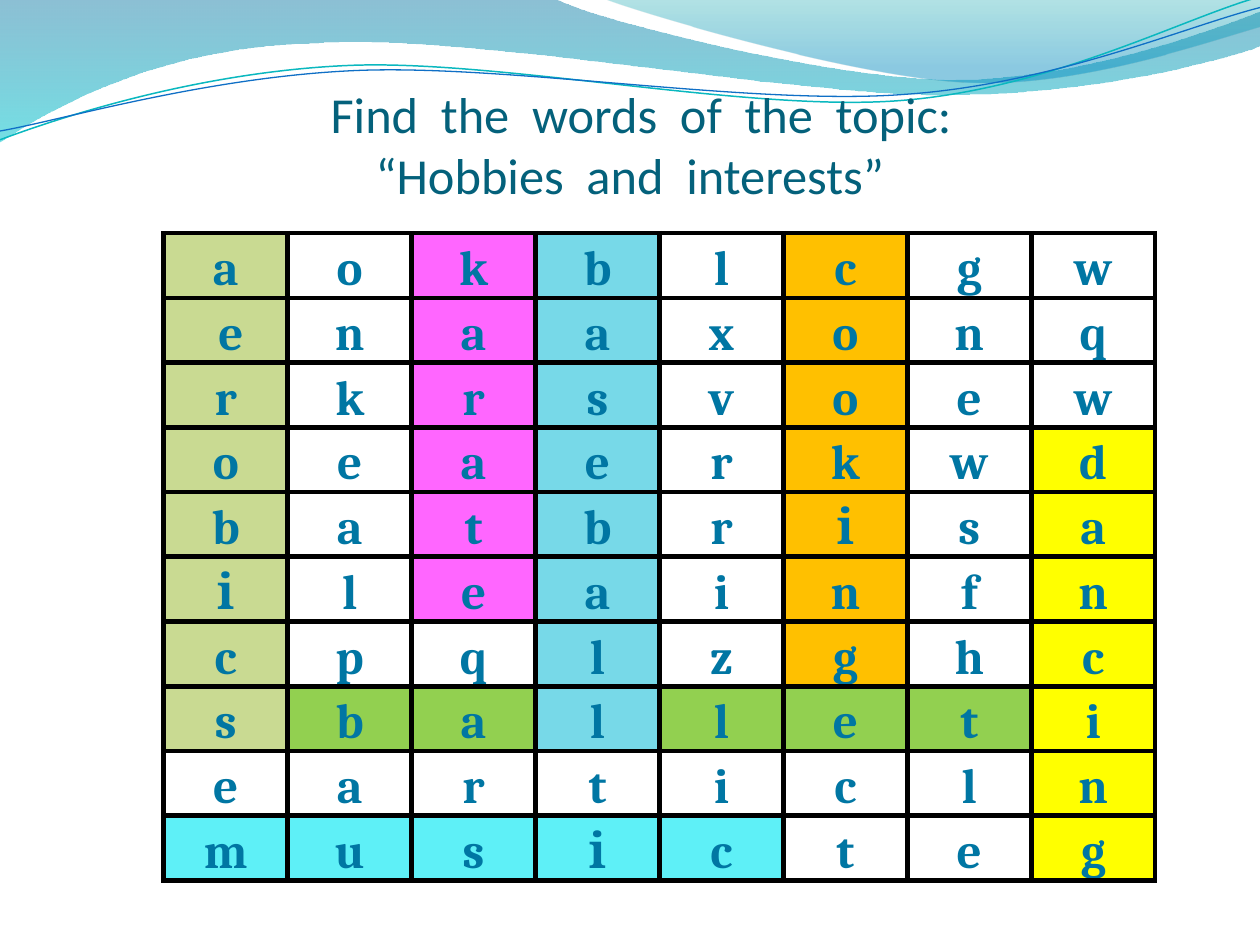
from pptx import Presentation
from pptx.dml.color import RGBColor
from pptx.enum import text
from pptx.oxml import ns, parse_xml
from pptx.util import Inches, Pt

TITLE = "Fіnd  the  words  of  the  topic:\v“Hobbіes  and  іnterests”"
TITLE_INDENT = 0.18
LETTERS = [
    "aokblcgw",
    "enaaxonq",
    "rkrsvoew",
    "oeaerkwd",
    "batbrіsa",
    "іleainfn",
    "cpqlzghc",
    "sballeti",
    "earticln",
    "musіcteg",
]
NUDGED = (1, 0)
DOWN, ACROSS = (1, 0), (0, 1)
FOUND_WORDS = [
    ("ballet", 7, 1, ACROSS, "92D050"),
    ("music", 9, 0, ACROSS, "5EF0F7"),
    ("aerobics", 0, 0, DOWN, "C9DA92"),
    ("karate", 0, 2, DOWN, "FF66FF"),
    ("baseball", 0, 3, DOWN, "77D9E8"),
    ("cooking", 0, 5, DOWN, "FFC000"),
    ("dancing", 3, 7, DOWN, "FFFF00"),
]
BANDS = [
    ([(0, 0), [(4.4, -0.01)],
      [(4.76, 0.17), (6.64, 0.63), (7.58, 0.63)],
      [(8.53, 0.63), (9.58, 0.26), (10, 0.09)], [(10.01, 0.36)],
      [(9.83, 0.44), (8.7, 0.76), (7.46, 0.75)],
      [(6.22, 0.75), (3.82, 0.28), (2.57, 0.34)],
      [(1.29, 0.36), (0.46, 0.83), (-0.01, 1.13)]],
     [(0, "0074A1", 45), (1, "00C6CF", 55)]),
    ([(4.79, -0.01),
      [(5.09, 0.11), (6.82, 0.62), (7.69, 0.65)],
      [(8.56, 0.69), (9.61, 0.32), (10, 0.21)], [(10, 0)]],
     [(0, "00A1A9", 30), (0.8, "008BBF", 45)]),
]
WAVES = [
    ([(0, 1.11),
      [(0.48, 0.93), (1.58, 0.57), (2.77, 0.52)],
      [(3.95, 0.47), (5.93, 0.89), (7.13, 0.8)],
      [(8.33, 0.71), (9.38, 0.15), (9.98, -0.02)]], "0AB8BF", 0.85),
    ([(0, 1.04),
      [(0.47, 0.96), (1.64, 0.61), (2.83, 0.56)],
      [(4.03, 0.51), (5.97, 0.84), (7.17, 0.75)],
      [(8.36, 0.67), (9.41, 0.21), (10, 0.06)]], "0F6FC6", 0.75),
]


def rgb(value):
    return RGBColor.from_string(value)


def draw_outline(slide, outline, close):
    start, *segments = outline
    ends = [(Inches(segment[-1][0]), Inches(segment[-1][1])) for segment in segments]
    builder = slide.shapes.build_freeform(Inches(start[0]), Inches(start[1]))
    builder.add_line_segments(ends, close=close)
    shape = builder.convert_to_shape()
    shape.shadow.inherit = False
    edges = list(shape._element.iter(ns.qn("a:lnTo")))
    for edge, segment in zip(edges, segments):
        if len(segment) == 3:
            points = "".join(
                f'<a:pt x="{Inches(x) - shape.left}" y="{Inches(y) - shape.top}"/>'
                for x, y in segment)
            curve = parse_xml(f'<a:cubicBezTo {ns.nsdecls("a")}>{points}</a:cubicBezTo>')
            edge.getparent().replace(edge, curve)
    return shape


def draw_band(slide, outline, stops):
    band = draw_outline(slide, outline, True)
    band.line.fill.background()
    band.fill.gradient()
    band.fill.gradient_angle = 270
    for stop, (position, color, _) in zip(band.fill.gradient_stops, stops):
        stop.position = position
        stop.color.rgb = rgb(color)
    tints = list(band._element.spPr.iter(ns.qn("a:srgbClr")))
    for tint, (_, _, opacity) in zip(tints, stops):
        tint.append(parse_xml(f'<a:alpha {ns.nsdecls("a")} val="{opacity * 1000}"/>'))


def draw_wave(slide, outline, color, width):
    wave = draw_outline(slide, outline, False)
    wave.fill.background()
    wave.line.color.rgb = rgb(color)
    wave.line.width = Pt(width)


def style_paragraph(paragraph, font_name, size, color, bold):
    paragraph.alignment = text.PP_ALIGN.CENTER
    font = paragraph.font
    font.name, font.size, font.bold = font_name, Pt(size), bold
    font.color.rgb = rgb(color)


def draw_title(slide):
    frame = slide.shapes.add_textbox(Inches(0.5), Inches(0.77), Inches(9), Inches(0.85)).text_frame
    frame.word_wrap = True
    frame.vertical_anchor = text.MSO_ANCHOR.BOTTOM
    frame.margin_left = frame.margin_right = frame.margin_bottom = 0
    frame.margin_top = Inches(0.05)
    paragraph = frame.paragraphs[0]
    paragraph.text = TITLE
    properties = paragraph._p.get_or_add_pPr()
    properties.set("marL", "0")
    properties.set("indent", str(Inches(TITLE_INDENT)))
    style_paragraph(paragraph, "Calibri", 28.8, "04617B", False)


def add_borders(cell):
    properties = cell._tc.get_or_add_tcPr()
    for index, side in enumerate(("lnL", "lnR", "lnT", "lnB")):
        properties.insert(index, parse_xml(
            f'<a:{side} {ns.nsdecls("a")} w="{Pt(3)}"><a:solidFill>'
            f'<a:srgbClr val="000000"/></a:solidFill></a:{side}>'))


def draw_puzzle(slide):
    rows, columns = len(LETTERS), len(LETTERS[0])
    highlights = {}
    for word, row, column, (down, across), color in FOUND_WORDS:
        for i in range(len(word)):
            highlights[row + i * down, column + i * across] = color
    puzzle = slide.shapes.add_table(rows, columns, Inches(1.3), Inches(1.85),
                                    Inches(7.87), Inches(5.14)).table
    puzzle.first_row = puzzle.horz_banding = False
    for r, letters in enumerate(LETTERS):
        for c, letter in enumerate(letters):
            cell = puzzle.cell(r, c)
            cell.margin_left = Inches(0.15 if (r, c) == NUDGED else 0.07)
            cell.margin_right = Inches(0.07)
            cell.margin_top = cell.margin_bottom = 0
            cell.vertical_anchor = text.MSO_ANCHOR.BOTTOM
            cell.fill.solid()
            cell.fill.fore_color.rgb = rgb(highlights.get((r, c), "FFFFFF"))
            add_borders(cell)
            cell.text = letter
            paragraph = cell.text_frame.paragraphs[0]
            paragraph.line_spacing = Pt(36)
            style_paragraph(paragraph, "Cambria", 28, "0076A3", True)


def main():
    deck = Presentation()
    deck.slide_width, deck.slide_height = Inches(10), Inches(7.5)
    slide = deck.slides.add_slide(deck.slide_layouts[6])
    for band in BANDS:
        draw_band(slide, *band)
    for wave in WAVES:
        draw_wave(slide, *wave)
    draw_title(slide)
    draw_puzzle(slide)
    deck.save("out.pptx")


if __name__ == "__main__":
    main()
